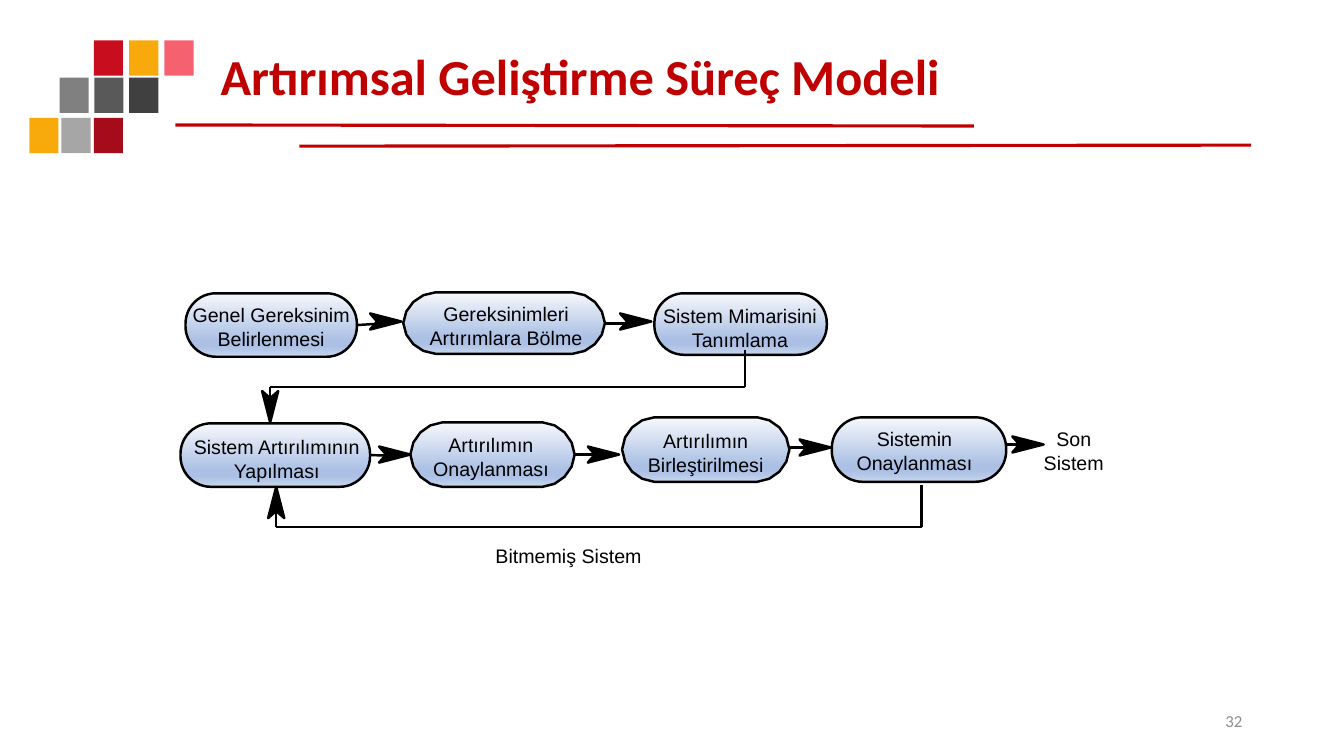
from copy import deepcopy
from dataclasses import dataclass

from lxml import etree
from pptx import Presentation
from pptx.dml.color import RGBColor
from pptx.enum import shapes, text
from pptx.oxml import ns
from pptx.util import Inches, Pt


@dataclass(frozen=True)
class Theme:
    accent: str = "C00000"
    ink: str = "000000"
    muted: str = "8C8C8C"
    node_stops: tuple = ((0, "F6F8FC"), (0.74, "ABC0E4"), (0.83, "ABC0E4"), (1, "C7D5ED"))
    heading_font: str = "Calibri"
    label_font: str = "Arial"
    title_size: int = 36
    label_size: int = 14
    number_size: int = 12
    rule: float = 2.25
    outline: float = 1.75
    riser: float = 1.5


THEME = Theme()
LEFT, CENTER, RIGHT = text.PP_ALIGN.LEFT, text.PP_ALIGN.CENTER, text.PP_ALIGN.RIGHT
RIGHT_SIDE = 3

# left, top, pitch, colours of each row of squares
MOSAIC = (
    (0.64, 0, 0.35, ("C80D1F", "F8A90C", "F5616F")),
    (0.30, 0.37, 0.345, ("808080", "595959", "404040")),
    (0, 0.77, 0.32, ("F8A90C", "A6A6A6", "A50B1A")),
)

# rounded rectangle or faceted outline, node box, label, label left / top / width
NODES = (
    ("round", (0.05, 0.01, 1.70, 0.63), "Genel Gereksinim\nBelirlenmesi", (0, 0.06, 1.8)),
    ("facet", (2.21, 0, 2.00, 0.61), "Gereksinimleri\nArtırımlara Bölme", (2.33, 0.05, 1.8)),
    ("round", (4.70, 0.01, 1.71, 0.61), "Sistem Mimarisini Tanımlama", (4.65, 0.07, 1.8)),
    ("round", (0, 1.30, 1.88, 0.63), "Sistem Artırılımının\nYapılması", (0, 1.37, 1.91)),
    ("facet", (2.28, 1.29, 1.63, 0.64), "Artırılımın\nOnaylanması", (2.18, 1.35, 1.8)),
    ("facet", (4.38, 1.24, 1.66, 0.64), "Artırılımın\nBirleştirilmesi", (4.31, 1.31, 1.8)),
    ("round", (6.46, 1.24, 1.73, 0.64), "Sistemin Onaylanması", (6.38, 1.29, 1.8)),
)
FREE_LABELS = (
    ("Son\nSistem", (8.42, 1.29, 0.88)),
    ("Bitmemiş Sistem", (2.95, 2.45, 1.8)),
)
# shaft start, arrow tip, index of the node whose side middle the shaft leaves
STEPS = (
    ((1.74, 0.31), (2.19, 0.29), 0),
    ((4.21, 0.31), (4.67, 0.29), None),
    ((1.87, 1.62), (2.28, 1.61), 3),
    ((3.91, 1.61), (4.35, 1.61), None),
    ((6.03, 1.54), (6.45, 1.54), None),
    ((8.18, 1.51), (8.56, 1.51), None),
)
# corners of the route, arrow tip, direction
LOOPS = (
    (((5.60, 0.57), (5.60, 0.94), (0.89, 0.94), (0.89, 1.19)), (0.89, 1.29), (0, 1)),
    (((7.35, 1.91), (7.35, 2.33), (0.95, 2.33), (0.95, 2.07)), (0.95, 1.93), (0, -1)),
)


def rgb(value):
    return RGBColor.from_string(value)


def add_line(slide, start, end, color, width):
    line = slide.shapes.add_connector(
        shapes.MSO_CONNECTOR.STRAIGHT, *(Inches(value) for value in (*start, *end)))
    line.line.color.rgb = rgb(color)
    line.line.width = Pt(width)
    etree.SubElement(line._element.spPr, ns.qn("a:effectLst"))
    return line


def add_text(slide, box, content, font, size, color, align, bold=False, middle=False):
    frame = slide.shapes.add_textbox(*map(Inches, box)).text_frame
    frame.word_wrap = True
    frame.vertical_anchor = text.MSO_ANCHOR.MIDDLE if middle else text.MSO_ANCHOR.TOP
    frame.text = content
    for paragraph in frame.paragraphs:
        paragraph.alignment = align
        paragraph.font.name = font
        paragraph.font.size = Pt(size)
        paragraph.font.color.rgb = rgb(color)
        paragraph.font.bold = bold
    return frame


def add_polygon(slide, points):
    corners = [(Inches(x), Inches(y)) for x, y in points]
    builder = slide.shapes.build_freeform(*corners[0])
    builder.add_line_segments(corners[1:], close=True)
    return builder.convert_to_shape()


def outline(shape):
    shape.shadow.inherit = False
    shape.line.color.rgb = rgb(THEME.ink)
    shape.line.width = Pt(THEME.outline)


def add_arrowhead(slide, tip, direction):
    dx, dy = direction
    barb = ((-0.24, 0), (-0.31, -0.08), (0, 0), (-0.31, 0.08))
    head = add_polygon(slide, [(tip[0] + x * dx - y * dy, tip[1] + x * dy + y * dx)
                               for x, y in barb])
    outline(head)
    head.fill.solid()
    head.fill.fore_color.rgb = rgb(THEME.ink)


def facet_points(left, top, width, height):
    """Outline with four corners of four facets each, clockwise from top left."""
    scale = height / 0.64
    corner = [(0, 0.32), (0.03, 0.2), (0.1, 0.1), (0.2, 0.03), (0.32, 0)]
    upper = [(x, y * scale) for x, y in corner]
    upper += [(width - x, y) for x, y in reversed(upper)]
    lower = [(x, height - y) for x, y in reversed(upper[1:-1])]
    return [(left + x, top + y) for x, y in upper + lower]


def add_node(slide, kind, box):
    if kind == "facet":
        node = add_polygon(slide, facet_points(*box))
    else:
        node = slide.shapes.add_shape(
            shapes.MSO_SHAPE.ROUNDED_RECTANGLE, *map(Inches, box))
        node.adjustments[0] = 0.48
    outline(node)
    node.fill.gradient()
    node.fill.gradient_angle = 270
    stop_list = node._element.spPr.find(".//" + ns.qn("a:gsLst"))
    for _ in range(len(THEME.node_stops) - len(stop_list)):
        stop_list.append(deepcopy(stop_list[0]))
    for stop, (position, color) in zip(node.fill.gradient_stops, THEME.node_stops):
        stop.position = position
        stop.color.rgb = rgb(color)
    return node


def add_mosaic(slide, left, top):
    for row_left, row_top, pitch, colors in MOSAIC:
        for column, color in enumerate(colors):
            square = slide.shapes.add_shape(
                shapes.MSO_SHAPE.RECTANGLE, Inches(left + row_left + column * pitch),
                Inches(top + row_top), Inches(0.29), Inches(0.35))
            square.shadow.inherit = False
            square.fill.solid()
            square.fill.fore_color.rgb = rgb(color)
            square.line.fill.background()


def add_header(slide, left, top, width):
    add_mosaic(slide, left, top)
    add_line(slide, (left + 1.45, top + 0.84), (left + 9.37, top + 0.85),
             THEME.accent, THEME.rule)
    add_line(slide, (left + 2.68, top + 1.05), (left + width, top + 1.04),
             THEME.accent, THEME.rule)
    title = add_text(slide, (left + 1.8, top, width - 1.8, 0.77),
                     "Artırımsal Geliştirme Süreç Modeli", THEME.heading_font,
                     THEME.title_size, THEME.accent, LEFT, bold=True, middle=True)
    title.paragraphs[0].line_spacing = 0.9


def add_process(slide, left, top):
    def at(point):
        return left + point[0], top + point[1]

    nodes = [add_node(slide, kind, (*at(box), *box[2:])) for kind, box, _, _ in NODES]
    for start, tip, source in STEPS:
        shaft = add_line(slide, at(start), at((tip[0] - 0.2, start[1])),
                         THEME.ink, THEME.outline)
        if source is not None:
            shaft.begin_connect(nodes[source], RIGHT_SIDE)
        add_arrowhead(slide, at(tip), (1, 0))
    for route, tip, direction in LOOPS:
        for start, end in zip(route, route[1:]):
            width = THEME.riser if start[0] == end[0] else THEME.outline
            add_line(slide, at(start), at(end), THEME.ink, width)
        add_arrowhead(slide, at(tip), direction)
    for label, box in [node[2:] for node in NODES] + list(FREE_LABELS):
        add_text(slide, (*at(box), box[2], 0.5), label, THEME.label_font,
                 THEME.label_size, THEME.ink, CENTER)


def main():
    presentation = Presentation()
    presentation.slide_width, presentation.slide_height = Inches(13.33), Inches(7.5)
    slide = presentation.slides.add_slide(presentation.slide_layouts[6])
    add_header(slide, 0.29, 0.4, 12.12)
    add_process(slide, 1.79, 2.9)
    add_text(slide, (9.42, 6.95, 3, 0.4), "32", THEME.heading_font, THEME.number_size,
             THEME.muted, RIGHT, middle=True)
    presentation.save("out.pptx")


if __name__ == "__main__":
    main()
